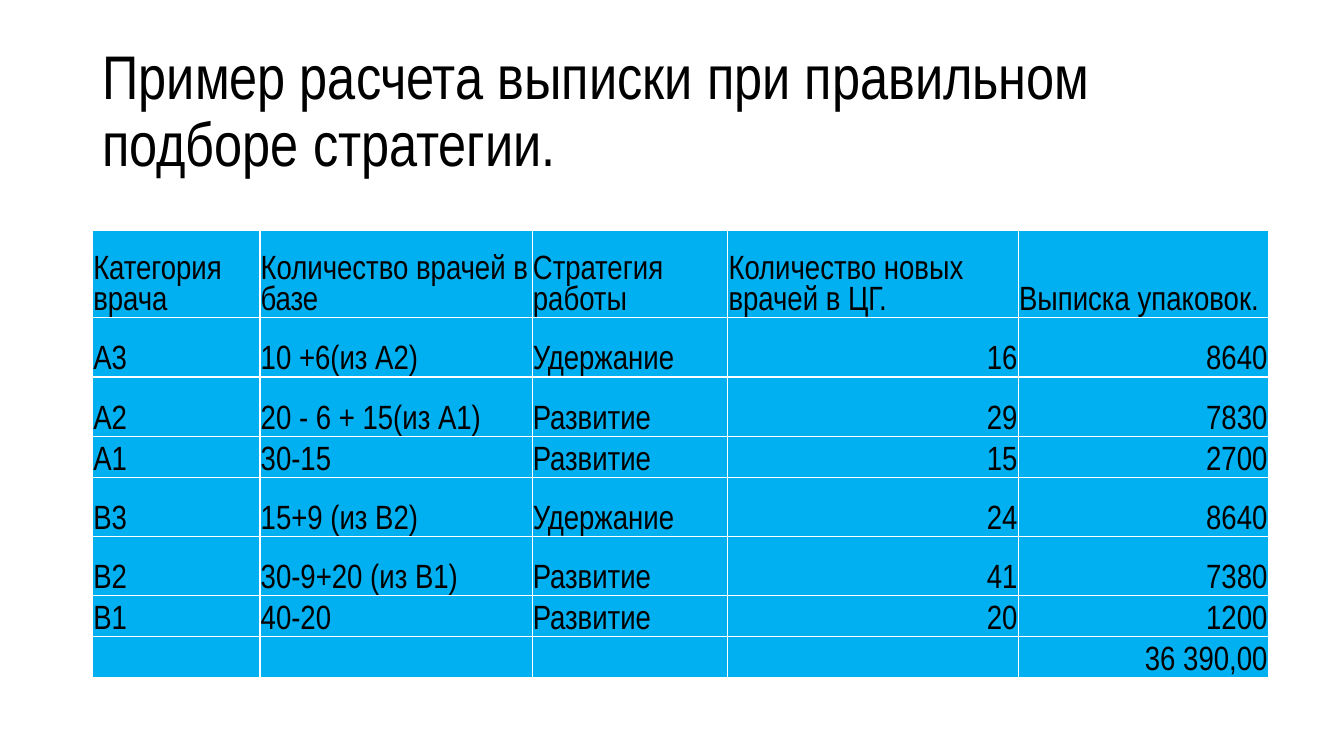
from dataclasses import dataclass

from lxml.etree import SubElement
from pptx import Presentation
from pptx.dml.color import RGBColor
from pptx.enum.text import MSO_ANCHOR, PP_ALIGN
from pptx.oxml.ns import qn
from pptx.util import Cm, Pt


@dataclass(frozen=True)
class Theme:
    font: str = "Arial Narrow"
    ink: str = "000000"
    cell: str = "00B0F0"
    border: str = "FFFFFF"
    title_size: int = 44
    table_size: int = 24
    border_width: int = 1


THEME = Theme()
TITLE = "Пример расчета выписки при правильном\vподборе стратегии."
HEADINGS = ("Категория врача", "Количество врачей в базе", "Стратегия работы",
            "Количество новых врачей в ЦГ.", "Выписка упаковок.")
CALCULATION = (
    ("А3", "10 +6(из А2)", "Удержание", "16", "8640"),
    ("А2", "20 - 6 + 15(из А1)", "Развитие", "29", "7830"),
    ("А1", "30-15", "Развитие", "15", "2700"),
    ("В3", "15+9 (из В2)", "Удержание", "24", "8640"),
    ("В2", "30-9+20 (из В1)", "Развитие", "41", "7380"),
    ("В1", "40-20", "Развитие", "20", "1200"),
    ("", "", "", "", "36 390,00"),
)
FIRST_NUMBER_COLUMN = 3
COLUMN_WIDTHS = (4.22, 6.86, 4.93, 7.32, 6.3)
HEADING_HEIGHT, TALL, SHORT = 2.21, 1.49, 0.77
ROW_HEIGHTS = (HEADING_HEIGHT, TALL, TALL, SHORT, TALL, TALL, SHORT, SHORT)
CELL_FORMAT = {
    "vertical_anchor": MSO_ANCHOR.BOTTOM,
    "margin_left": Cm(0.02),
    "margin_top": Cm(0.02),
    "margin_right": Cm(0.02),
    "margin_bottom": Cm(0),
}


def apply_format(target, values):
    for attribute, value in values.items():
        setattr(target, attribute, value)


def style_font(font, size):
    apply_format(font, {"name": THEME.font, "size": Pt(size), "bold": False})
    font.color.rgb = RGBColor.from_string(THEME.ink)


def add_borders(cell):
    """Draw the four cell edges; they must precede the fill in the XML."""
    properties = cell._tc.get_or_add_tcPr()
    for edge in ("a:lnL", "a:lnR", "a:lnT", "a:lnB"):
        line = SubElement(properties, qn(edge), w=str(Pt(THEME.border_width)))
        fill = SubElement(line, qn("a:solidFill"))
        SubElement(fill, qn("a:srgbClr"), val=THEME.border)


def add_title(slide, left, top, width, height):
    frame = slide.shapes.add_textbox(Cm(left), Cm(top), Cm(width), Cm(height)).text_frame
    apply_format(frame, {"word_wrap": True, "vertical_anchor": MSO_ANCHOR.MIDDLE})
    paragraph = frame.paragraphs[0]
    paragraph.text = TITLE
    paragraph.line_spacing = 0.9
    for run in paragraph.runs:
        style_font(run.font, THEME.title_size)


def fill_cell(cell, text, alignment):
    apply_format(cell, CELL_FORMAT)
    add_borders(cell)
    cell.fill.solid()
    cell.fill.fore_color.rgb = RGBColor.from_string(THEME.cell)
    paragraph = cell.text_frame.paragraphs[0]
    paragraph.alignment = alignment
    style_font(paragraph.font, THEME.table_size)
    if text:
        run = paragraph.add_run()
        run.text = text
        style_font(run.font, THEME.table_size)


def add_calculation_table(slide, left, top):
    rows = (HEADINGS, *CALCULATION)
    table = slide.shapes.add_table(
        len(rows), len(HEADINGS), Cm(left), Cm(top),
        Cm(sum(COLUMN_WIDTHS)), Cm(sum(ROW_HEIGHTS))).table
    apply_format(table, {"first_row": False, "horz_banding": False})
    for column, width in zip(table.columns, COLUMN_WIDTHS):
        column.width = Cm(width)
    for row_index, (row, height) in enumerate(zip(rows, ROW_HEIGHTS)):
        table.rows[row_index].height = Cm(height)
        for column_index, text in enumerate(row):
            is_number = row_index > 0 and column_index >= FIRST_NUMBER_COLUMN
            alignment = PP_ALIGN.RIGHT if is_number else PP_ALIGN.LEFT
            fill_cell(table.cell(row_index, column_index), text, alignment)


def main():
    presentation = Presentation()
    apply_format(presentation, {"slide_width": Cm(33.87), "slide_height": Cm(19.05)})
    slide = presentation.slides.add_slide(presentation.slide_layouts[6])
    add_title(slide, left=2.33, top=1.01, width=29.21, height=3.68)
    add_calculation_table(slide, left=2.33, top=5.8)
    presentation.save("out.pptx")


if __name__ == "__main__":
    main()
